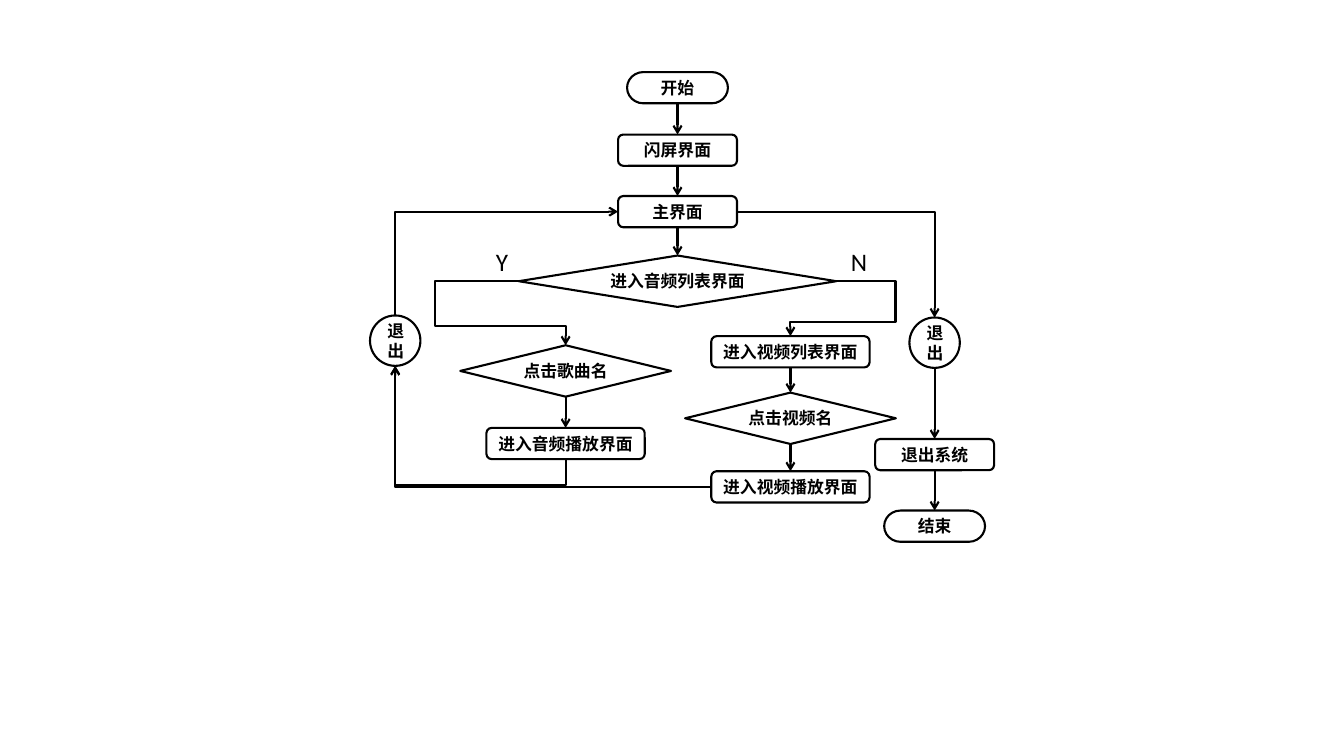
import pptx
import pptx.util
import pptx.dml.color
import pptx.enum.shapes
import pptx.enum.text
import pptx.oxml.ns
import lxml.etree

Inches = pptx.util.Inches
Pt = pptx.util.Pt
Kind = pptx.enum.shapes.MSO_SHAPE
Link = pptx.enum.shapes.MSO_CONNECTOR
qn = pptx.oxml.ns.qn

COLORS = {"ink": "000000", "paper": "FFFFFF"}
FONT = "Calibri"
TOP, LEFT, BOTTOM, RIGHT = range(4)

MAIN, AUDIO, VIDEO, LEAVE, RETURN = 3.05, 1.94, 4.17, 5.6, 0.25

STYLES = {
    "terminal": (Kind.FLOWCHART_TERMINATOR, 1, 0.31),
    "screen": (Kind.FLOWCHART_ALTERNATE_PROCESS, 1.18, 0.31),
    "wide screen": (Kind.FLOWCHART_ALTERNATE_PROCESS, 1.57, 0.31),
    "choice": (Kind.FLOWCHART_DECISION, 2.09, 0.51),
    "wide choice": (Kind.FLOWCHART_DECISION, 3.15, 0.51),
    "exit": (Kind.FLOWCHART_CONNECTOR, 0.5, 0.5),
}

NODES = {
    "start": ("terminal", MAIN, 0.16, "开始"),
    "splash": ("screen", MAIN, 0.78, "闪屏界面"),
    "home": ("screen", MAIN, 1.39, "主界面"),
    "audio list": ("wide choice", MAIN, 2.08, "进入音频列表界面"),
    "pick song": ("choice", AUDIO, 2.97, "点击歌曲名"),
    "play audio": ("wide screen", AUDIO, 3.69, "进入音频播放界面"),
    "video list": ("wide screen", VIDEO, 2.78, "进入视频列表界面"),
    "pick video": ("choice", VIDEO, 3.44, "点击视频名"),
    "play video": ("wide screen", VIDEO, 4.12, "进入视频播放界面"),
    "return": ("exit", RETURN, 2.67, "退出"),
    "leave": ("exit", LEAVE, 2.69, "退出"),
    "quit": ("screen", LEAVE, 3.8, "退出系统"),
    "end": ("terminal", LEAVE, 4.51, "结束"),
}

CHAINS = [
    ("start", "splash", "home", "audio list"),
    ("pick song", "play audio"),
    ("video list", "pick video", "play video"),
    ("leave", "quit", "end"),
]

BENDS = [
    ("audio list", LEFT, "pick song", TOP, (-1.78, 0.7)),
    ("audio list", RIGHT, "video list", TOP, (-1.29, 0.74)),
    ("play audio", BOTTOM, "return", BOTTOM, (-0.28,)),
    ("play video", LEFT, "return", BOTTOM, ()),
    ("return", TOP, "home", LEFT, ()),
    ("home", RIGHT, "leave", TOP, ()),
]

BRANCHES = [("Y", 1.15), ("N", 4.67)]


def color(name):
    return pptx.dml.color.RGBColor.from_string(COLORS[name])


def write(frame, text, size, bold):
    frame.text = text
    para = frame.paragraphs[0]
    font = para.runs[0].font
    font.name, font.size, font.bold = FONT, Pt(size), bold
    font.color.rgb = color("ink")
    return para


def add_node(page, box, style, center_x, center_y, text):
    kind, width, height = STYLES[style]
    node = page.shapes.add_shape(
        kind, Inches(box[0] + center_x - width / 2),
        Inches(box[1] + center_y - height / 2), Inches(width), Inches(height))
    node.shadow.inherit = False
    node.fill.solid()
    node.fill.fore_color.rgb = color("paper")
    node.line.color.rgb = color("ink")
    node.line.width = Pt(1.5)
    node.text_frame.vertical_anchor = pptx.enum.text.MSO_ANCHOR.MIDDLE
    para = write(node.text_frame, text, 12, True)
    para.alignment = pptx.enum.text.PP_ALIGN.CENTER
    return node


def add_arrow(page, kind, source, source_side, target, target_side):
    arrow = page.shapes.add_connector(kind, 0, 0, 0, 0)
    arrow.begin_connect(source, source_side)
    arrow.end_connect(target, target_side)
    ends = ((source, source_side, "a:stCxn"), (target, target_side, "a:endCxn"))
    for node, side, tag in ends:
        if node.auto_shape_type == Kind.FLOWCHART_CONNECTOR:
            next(arrow._element.iter(qn(tag))).set("idx", str(side * 2))
    arrow.line.color.rgb = color("ink")
    arrow.line.width = Pt(1.5)
    lxml.etree.SubElement(arrow.line._get_or_add_ln(), qn("a:tailEnd"), type="arrow")
    lxml.etree.SubElement(arrow._element.spPr, qn("a:effectLst"))
    return arrow


def turn_quarter(arrow):
    span_x, span_y = arrow.end_x - arrow.begin_x, arrow.end_y - arrow.begin_y
    middle_x = (arrow.begin_x + arrow.end_x) // 2
    middle_y = (arrow.begin_y + arrow.end_y) // 2
    arrow.begin_x, arrow.end_x = middle_x - span_y // 2, middle_x + span_y // 2
    arrow.begin_y, arrow.end_y = middle_y + span_x // 2, middle_y - span_x // 2
    arrow._element.spPr.find(qn("a:xfrm")).set("rot", "5400000")


def add_bend(page, source, source_side, target, target_side, bends):
    arrow = add_arrow(page, Link.ELBOW, source, source_side, target, target_side)
    if source_side in (TOP, BOTTOM):
        turn_quarter(arrow)
    geometry = arrow._element.spPr.find(qn("a:prstGeom"))
    geometry.set("prst", f"bentConnector{len(bends) + 2}")
    guides = geometry.find(qn("a:avLst"))
    for number, bend in enumerate(bends, 1):
        lxml.etree.SubElement(guides, qn("a:gd"), name=f"adj{number}",
                              fmla=f"val {round(bend * 100000)}")


def add_branch_label(page, box, text, left):
    label = page.shapes.add_textbox(
        Inches(box[0] + left), Inches(box[1] + 1.68), Inches(0.33), Inches(0.4))
    label.text_frame.word_wrap = False
    write(label.text_frame, text, 18, False)


def add_flowchart(page, box):
    nodes = {name: add_node(page, box, *node) for name, node in NODES.items()}
    for chain in CHAINS:
        for upper, lower in zip(chain, chain[1:]):
            add_arrow(page, Link.STRAIGHT, nodes[upper], BOTTOM, nodes[lower], TOP)
    for source, source_side, target, target_side, bends in BENDS:
        add_bend(page, nodes[source], source_side, nodes[target], target_side, bends)
    for text, left in BRANCHES:
        add_branch_label(page, box, text, left)


deck = pptx.Presentation()
deck.slide_width, deck.slide_height = Inches(13.33), Inches(7.5)
page = deck.slides.add_slide(deck.slide_layouts[6])
add_flowchart(page, (3.67, 0.71))
deck.save("out.pptx")
